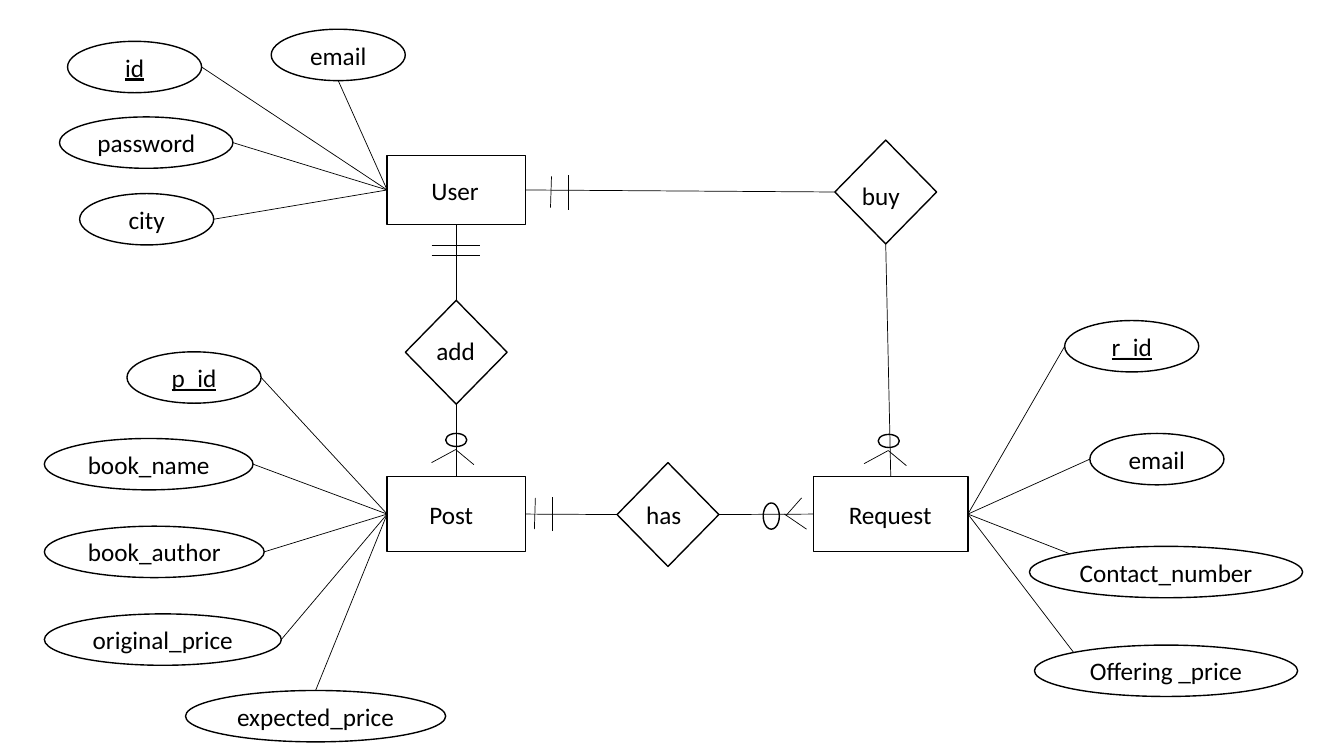
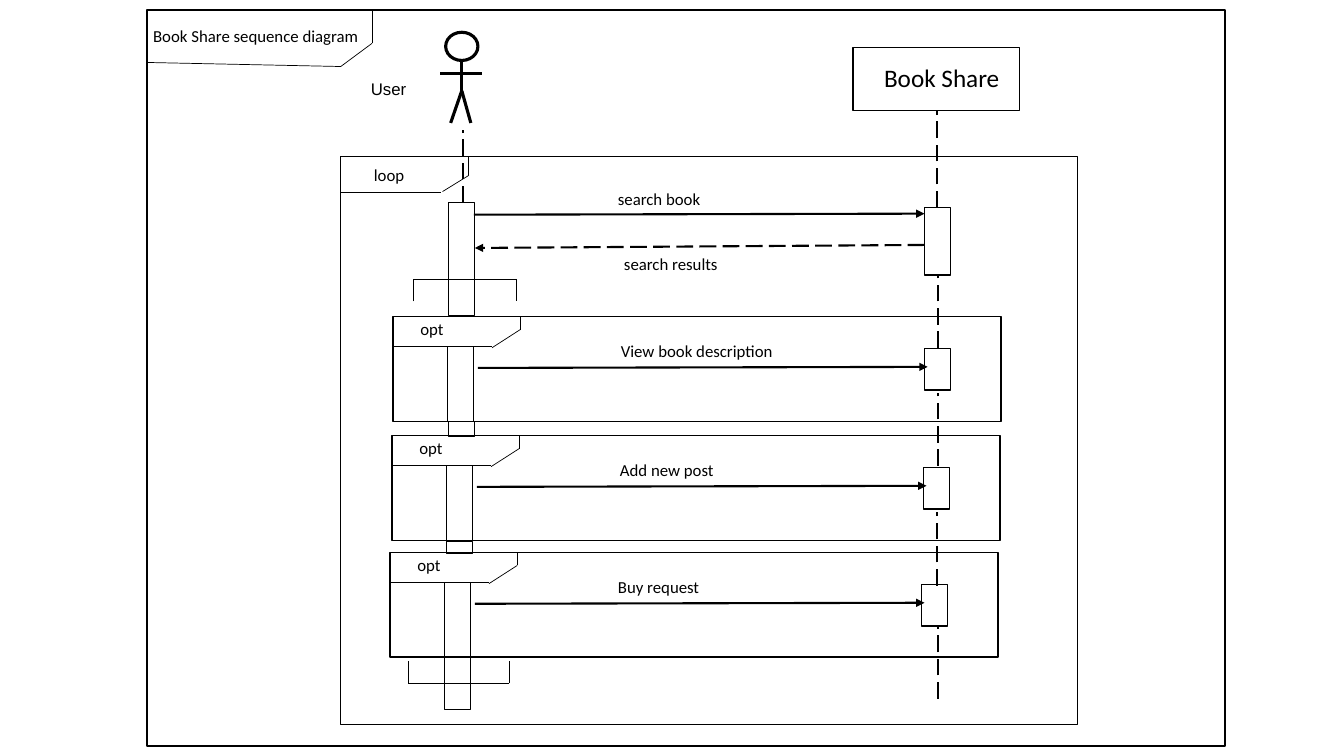
from dataclasses import dataclass

from lxml.etree import SubElement
from pptx import Presentation
from pptx.dml.color import RGBColor
from pptx.enum.dml import MSO_LINE
from pptx.enum.shapes import MSO_CONNECTOR, MSO_SHAPE
from pptx.enum.text import MSO_ANCHOR, MSO_AUTO_SIZE, PP_ALIGN
from pptx.oxml.ns import qn
from pptx.util import Inches, Pt

TOP, LEFT, BOTTOM, RIGHT = range(4)


@dataclass(frozen=True)
class Theme:
    ink: RGBColor = RGBColor(0, 0, 0)
    paper: RGBColor = RGBColor(255, 255, 255)
    font: str = "Calibri"
    actor_font: str = "Arial"
    large: float = 18
    small: float = 12
    hairline: float = 0.5
    thin: float = 0.75
    outline: float = 1
    message: float = 1.5
    figure: float = 2.25


THEME = Theme()


def write_text(frame, text, size=THEME.large, font=THEME.font, underline=None,
               align=None, anchor=None, wrap=True):
    frame.word_wrap = wrap
    if anchor is not None:
        frame.vertical_anchor = anchor
    para = frame.paragraphs[0]
    para.alignment = align
    span = para.add_run()
    span.text = text
    span.font.size = Pt(size)
    span.font.name = font
    span.font.underline = underline
    span.font.color.rgb = THEME.ink


class Diagram:
    def __init__(self, deck):
        self.deck = deck
        self.page = None

    def new_page(self):
        self.page = self.deck.slides.add_slide(self.deck.slide_layouts[6])
        self.page.background.fill.solid()
        self.page.background.fill.fore_color.rgb = THEME.paper

    def shape(self, kind, left, top, width, height, weight=THEME.outline):
        box = self.page.shapes.add_shape(
            kind, Inches(left), Inches(top), Inches(width), Inches(height))
        box.shadow.inherit = False
        box.fill.background()
        box.line.color.rgb = THEME.ink
        box.line.width = Pt(weight)
        return box

    def rectangle(self, left, top, width, height, weight=THEME.outline):
        return self.shape(MSO_SHAPE.RECTANGLE, left, top, width, height, weight)

    def ellipse(self, left, top, width, height, weight=THEME.outline):
        return self.shape(MSO_SHAPE.OVAL, left, top, width, height, weight)

    def label(self, text, left, top, width, height=0.3, **style):
        box = self.page.shapes.add_textbox(
            Inches(left), Inches(top), Inches(width), Inches(height))
        write_text(box.text_frame, text, **style)
        box.text_frame.auto_size = MSO_AUTO_SIZE.SHAPE_TO_FIT_TEXT

    def small_label(self, text, left, top, width, **style):
        self.label(text, left, top, width, size=THEME.small, **style)

    def line(self, start=(0, 0), end=(0, 0), weight=THEME.hairline,
             dashed=False, arrow=False, source=None, target=None):
        link = self.page.shapes.add_connector(
            MSO_CONNECTOR.STRAIGHT, *(Inches(value) for value in (*start, *end)))
        if source:
            link.begin_connect(*source)
        if target:
            link.end_connect(*target)
        link.line.color.rgb = THEME.ink
        link.line.width = Pt(weight)
        if dashed:
            link.line.dash_style = MSO_LINE.LONG_DASH
        properties = link._element.spPr
        if arrow:
            SubElement(properties.find(qn("a:ln")), qn("a:tailEnd"), type="triangle")
        SubElement(properties, qn("a:effectLst"))

    def polyline(self, *points):
        for start, end in zip(points, points[1:]):
            self.line(start, end)

    def attribute(self, text, left, top, width, side, target, key=False):
        height = 0.51
        oval = self.ellipse(left, top, width, height)
        write_text(oval.text_frame, text, underline=key or None,
                   align=PP_ALIGN.CENTER, anchor=MSO_ANCHOR.MIDDLE)
        across, down = {"left": (0, 0.5), "right": (1, 0.5), "top": (0.5, 0),
                        "bottom": (0.5, 1), "corner": (0.15, 0.15)}[side]
        self.line((left + width * across, top + height * down), target=target)

    def many_mark(self, left, top):
        self.polyline((left, top + 0.29), (left + 0.24, top + 0.16),
                      (left + 0.42, top + 0.31))
        self.ellipse(left + 0.14, top, 0.21, 0.13)

    def one_mark(self, left, middle):
        self.line((left, middle + 0.15), (left + 0.01, middle - 0.16))
        self.line((left + 0.18, middle + 0.17), (left + 0.18, middle - 0.17))

    def message(self, start, end, dashed=False):
        self.line(start, end, THEME.message, dashed, arrow=True)

    def lifeline(self, middle, bottom, top):
        self.line((middle, bottom), (middle, top), THEME.message, dashed=True)

    def option(self, left, top, text, text_width):
        self.small_label("opt", left + 0.17, top - 0.03, 0.81)
        self.rectangle(left, top, 6.03, 1.04)
        self.line((left - 0.01, top + 0.3), (left + 0.98, top + 0.3))
        self.polyline((left + 0.98, top + 0.31), (left + 1.26, top + 0.13),
                      (left + 1.26, top))
        self.rectangle(left + 0.54, top + 0.3, 0.26, 0.74)
        self.rectangle(left + 5.27, top + 0.32, 0.26, 0.41)
        self.message((left + 0.84, top + 0.51), (left + 5.3, top + 0.5))
        self.small_label(text, left + 2.16, top + 0.19, text_width)


def build_entities(diagram):
    diagram.new_page()
    user = diagram.rectangle(3.84, 1.54, 1.37, 0.69)
    post = diagram.rectangle(3.84, 4.73, 1.37, 0.74)
    request = diagram.rectangle(8.07, 4.73, 1.53, 0.74)
    add, buy, has = (diagram.shape(MSO_SHAPE.DIAMOND, left, top, 1.01, 1.03)
                     for left, top in ((4.02, 2.98), (8.28, 1.39), (6.12, 4.59)))

    for text, left, top, width in (
            ("User", 4.18, 1.69, 0.68), ("add", 4.23, 3.28, 0.59),
            ("Post", 4.16, 4.9, 0.64), ("Request", 8.32, 4.9, 1.03),
            ("buy", 8.45, 1.74, 0.58), ("has", 6.31, 4.9, 0.55)):
        diagram.label(text, left, top, width, 0.4, wrap=False)

    for source, target in (
            ((user, BOTTOM), (add, TOP)), ((add, BOTTOM), (post, TOP)),
            ((user, RIGHT), (buy, LEFT)), ((buy, BOTTOM), (request, TOP)),
            ((post, RIGHT), (has, LEFT)), ((has, RIGHT), (request, LEFT))):
        diagram.line(source=source, target=target)

    for top in (2.43, 2.53):
        diagram.line((4.28, top), (4.76, top))
    diagram.one_mark(5.46, 1.91)
    diagram.one_mark(5.3, 5.1)
    diagram.many_mark(4.28, 4.3)
    diagram.many_mark(8.57, 4.31)
    diagram.line((7.8, 5.11), (7.95, 4.94))
    diagram.line((7.78, 5.1), (8, 5.25))
    diagram.ellipse(7.57, 4.99, 0.16, 0.26)

    groups = (
        ((user, LEFT), (
            ("id", 0.67, 0.41, 1.33, "right", True),
            ("email", 2.69, 0.29, 1.33, "bottom"),
            ("password", 0.59, 1.16, 1.72, "right"),
            ("city", 0.79, 1.92, 1.33, "right"))),
        ((post, LEFT), (
            ("p_id", 1.26, 3.49, 1.33, "right", True),
            ("book_name", 0.44, 4.35, 2.07, "right"),
            ("book_author", 0.44, 5.22, 2.18, "right"),
            ("original_price", 0.44, 6.09, 2.35, "right"),
            ("expected_price", 1.84, 6.85, 2.58, "top"))),
        ((request, RIGHT), (
            ("r_id", 10.56, 3.18, 1.33, "left", True),
            ("email", 10.81, 4.3, 1.33, "left"),
            ("Contact_number", 10.21, 5.42, 2.71, "corner"),
            ("Offering _price", 10.26, 6.4, 2.61, "corner"))))
    for target, attributes in groups:
        for text, left, top, width, side, *key in attributes:
            diagram.attribute(text, left, top, width, side, target, bool(key))


def build_sequence(diagram):
    diagram.new_page()
    diagram.rectangle(1.46, 0.1, 10.69, 7.3)
    diagram.polyline((1.46, 0.62), (3.38, 0.66), (3.69, 0.43), (3.69, 0.1))
    diagram.small_label("Book Share sequence diagram", 1.42, 0.21, 2.28)

    diagram.small_label("User", 3.58, 0.73, 1.04, font=THEME.actor_font)
    diagram.ellipse(4.42, 0.32, 0.32, 0.28, THEME.figure)
    for start, end in (((4.58, 0.91), (4.58, 0.6)), ((4.47, 1.22), (4.58, 0.9)),
                       ((4.67, 1.22), (4.58, 0.9)), ((4.78, 0.73), (4.36, 0.73))):
        diagram.line(start, end, THEME.figure)

    diagram.rectangle(8.46, 0.47, 1.65, 0.63)
    diagram.label("Book Share", 8.67, 0.57, 1.36, 0.4, wrap=False)

    diagram.rectangle(3.38, 1.55, 7.31, 5.64, THEME.thin)
    diagram.line((3.38, 1.91), (4.37, 1.91))
    diagram.polyline((4.39, 1.9), (4.65, 1.74), (4.65, 1.55))
    diagram.small_label("loop", 3.61, 1.59, 0.84)

    diagram.rectangle(9.17, 2.06, 0.26, 0.67)
    diagram.message((4.7, 2.13), (9.17, 2.12))
    diagram.small_label("search book", 6.03, 1.82, 1.07)
    diagram.message((9.17, 2.43), (4.71, 2.46), dashed=True)
    diagram.small_label("search results", 6.09, 2.47, 1.41)

    diagram.polyline((4.1, 2.99), (4.1, 2.77), (5.12, 2.77), (5.12, 2.99))
    diagram.polyline((4.05, 6.56), (4.05, 6.78), (5.05, 6.78), (5.05, 6.56))

    for left, top, text, width in (
            (3.9, 3.14, "View book description", 1.77),
            (3.89, 4.32, "Add new post", 1.25),
            (3.87, 5.48, "Buy request", 1.25)):
        diagram.option(left, top, text, width)

    for left, top, height in ((4.45, 2.01, 1.12), (4.45, 4.18, 0.15),
                              (4.43, 5.37, 0.12), (4.41, 6.52, 0.52)):
        diagram.rectangle(left, top, 0.26, height)

    for middle, bottom, top in (
            (4.59, 2.01, 1.29), (9.29, 2.06, 1.1), (9.3, 3.45, 2.73),
            (9.3, 4.62, 3.9), (9.29, 5.81, 5.08), (9.3, 6.93, 6.2)):
        diagram.lifeline(middle, bottom, top)


def main():
    deck = Presentation()
    deck.slide_width = Inches(13.33)
    deck.slide_height = Inches(7.5)
    diagram = Diagram(deck)
    build_entities(diagram)
    build_sequence(diagram)
    deck.save("out.pptx")


if __name__ == "__main__":
    main()
